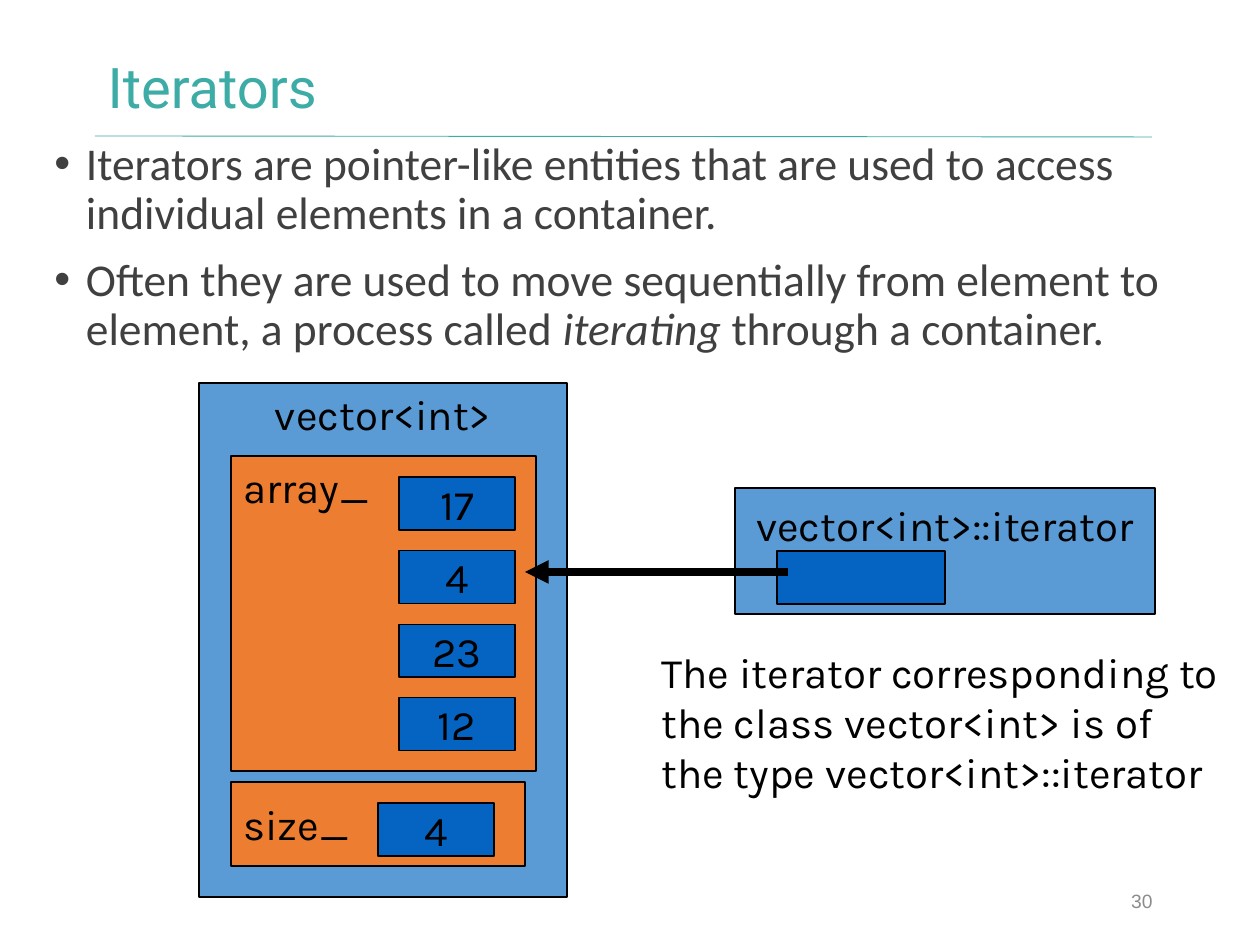
from lxml.etree import SubElement
from pptx import Presentation
from pptx.dml.color import RGBColor
from pptx.enum.shapes import MSO_CONNECTOR as Connector, MSO_SHAPE as Shape
from pptx.enum.text import MSO_ANCHOR as Anchor, MSO_AUTO_SIZE as AutoSize, PP_ALIGN as Align
from pptx.oxml.ns import qn
from pptx.util import Emu, Pt

# Content: body runs are (text, italic)
TITLE = "Iterators"
BULLETS = [
    [("Iterators are pointer-like entities that are used to access "
      "individual elements in a container.", False)],
    [("Often they are used to move sequentially from element to element, "
      "a process called ", False),
     ("iterating", True),
     (" through a container.", False)],
]
ARRAY_VALUES = ["17", "4", "23", "12"]
SIZE_VALUE = "4"
NOTE = ["The iterator corresponding to",
        "the class vector<int> is of",
        "the type vector<int>::iterator"]
PAGE_NUMBER = "30"

# Colours
TEAL, GREY, PALE_GREY, BLACK = "3DACA7", "404040", "8C8C8C", "000000"
BLUE, ORANGE, DEEP_BLUE = "5B9BD5", "ED7D31", "0563C1"

# Layout in px
CELL_WIDTH, CELL_HEIGHT = 116, 53
CELL_LEFT, CELL_TOP, CELL_PITCH = 399, 477, 73.6
INSET = 6


def px(value):
    return Emu(round(value * 914400 / 126))


def box(left, top, width, height):
    return px(left), px(top), px(width), px(height)


def colour(value):
    return RGBColor.from_string(value)


def style(paragraph, font_name, size, font_colour, align=Align.LEFT):
    paragraph.alignment = align
    paragraph.font.name = font_name
    paragraph.font.size = Pt(size)
    paragraph.font.color.rgb = colour(font_colour)


def add_text(place, lines, font=("Karla", 24, BLACK), align=Align.LEFT,
             anchor=Anchor.TOP, wrap=True):
    frame = slide.shapes.add_textbox(*box(*place)).text_frame
    frame.word_wrap = wrap
    frame.vertical_anchor = anchor
    frame.text = "\n".join(lines)
    for paragraph in frame.paragraphs:
        style(paragraph, *font, align)
    return frame


def add_box(place, fill, text="", align=Align.CENTER, anchor=Anchor.MIDDLE, top_inset=INSET):
    shape = slide.shapes.add_shape(Shape.RECTANGLE, *box(*place))
    shape.shadow.inherit = False
    shape.fill.solid()
    shape.fill.fore_color.rgb = colour(fill)
    shape.line.color.rgb = colour(BLACK)
    shape.line.width = Pt(0.75)
    if text:
        frame = shape.text_frame
        frame.word_wrap = False
        frame.vertical_anchor = anchor
        frame.margin_top = px(top_inset)
        frame.text = text
        style(frame.paragraphs[0], "Karla", 24, BLACK, align)


def add_line(start, end, line_colour, width, arrow=False):
    line = slide.shapes.add_connector(Connector.STRAIGHT, *map(px, start + end))
    line.line.color.rgb = colour(line_colour)
    line.line.width = Pt(width)
    if arrow:
        SubElement(line.line._get_or_add_ln(), qn("a:tailEnd"), type="triangle")
    SubElement(line._element.spPr, qn("a:effectLst"))


presentation = Presentation()
presentation.slide_width, presentation.slide_height = px(1260), px(945)
slide = presentation.slides.add_slide(presentation.slide_layouts[5])

# Title and rule
add_line((95, 136), (1152, 137), TEAL, 0.5)
title = slide.shapes.title
title.left, title.top, title.width, title.height = box(95, 44, 944, 92)
title.text_frame.text = TITLE
title.text_frame.auto_size = AutoSize.NONE
title.text_frame.vertical_anchor = Anchor.MIDDLE
style(title.text_frame.paragraphs[0], "Roboto", 32, TEAL)
title.text_frame.paragraphs[0].line_spacing = 0.9

# Bullets
body = add_text((42, 135, 1192, 230), [""] * len(BULLETS))
for paragraph, runs in zip(body.paragraphs, BULLETS):
    style(paragraph, "Calibri", 26, GREY)
    paragraph.line_spacing = 0.9
    paragraph.space_before = Pt(10)
    properties = paragraph._p.get_or_add_pPr()
    properties.set("marL", str(Pt(18)))
    properties.set("indent", str(-Pt(18)))
    bullet_font = SubElement(properties, qn("a:buFont"), typeface="Arial")
    bullet = SubElement(properties, qn("a:buChar"), char="•")
    properties.find(qn("a:defRPr")).addprevious(bullet_font)
    bullet_font.addnext(bullet)
    for text, italic in runs:
        run = paragraph.add_run()
        run.text = text
        run.font.italic = italic

# Vector with its array and size
add_box((199, 383, 368, 514), BLUE, "vector<int>", anchor=Anchor.TOP)
add_box((231, 456, 305, 315), ORANGE, "array_", Align.LEFT, Anchor.TOP)
for index, value in enumerate(ARRAY_VALUES):
    add_box((CELL_LEFT, CELL_TOP + index * CELL_PITCH, CELL_WIDTH, CELL_HEIGHT),
            DEEP_BLUE, value)
add_box((231, 782, 294, 84), ORANGE, "size_", Align.LEFT)
add_box((378, 803, CELL_WIDTH, CELL_HEIGHT), DEEP_BLUE, SIZE_VALUE)

# Iterator pointing at the second element
add_box((735, 488, 420, 126), BLUE, "vector<int>::iterator", anchor=Anchor.TOP, top_inset=12)
add_box((777, 551, 168, CELL_HEIGHT), DEEP_BLUE)
add_line((788, 572), (525, 572), BLACK, 4.5, arrow=True)

# Note and page number
add_text((649, 640, 592, 164), NOTE, wrap=False)
add_text((882, 876, 283, 50), [PAGE_NUMBER], ("Arial", 11, PALE_GREY),
         Align.RIGHT, Anchor.MIDDLE)

presentation.save("out.pptx")
